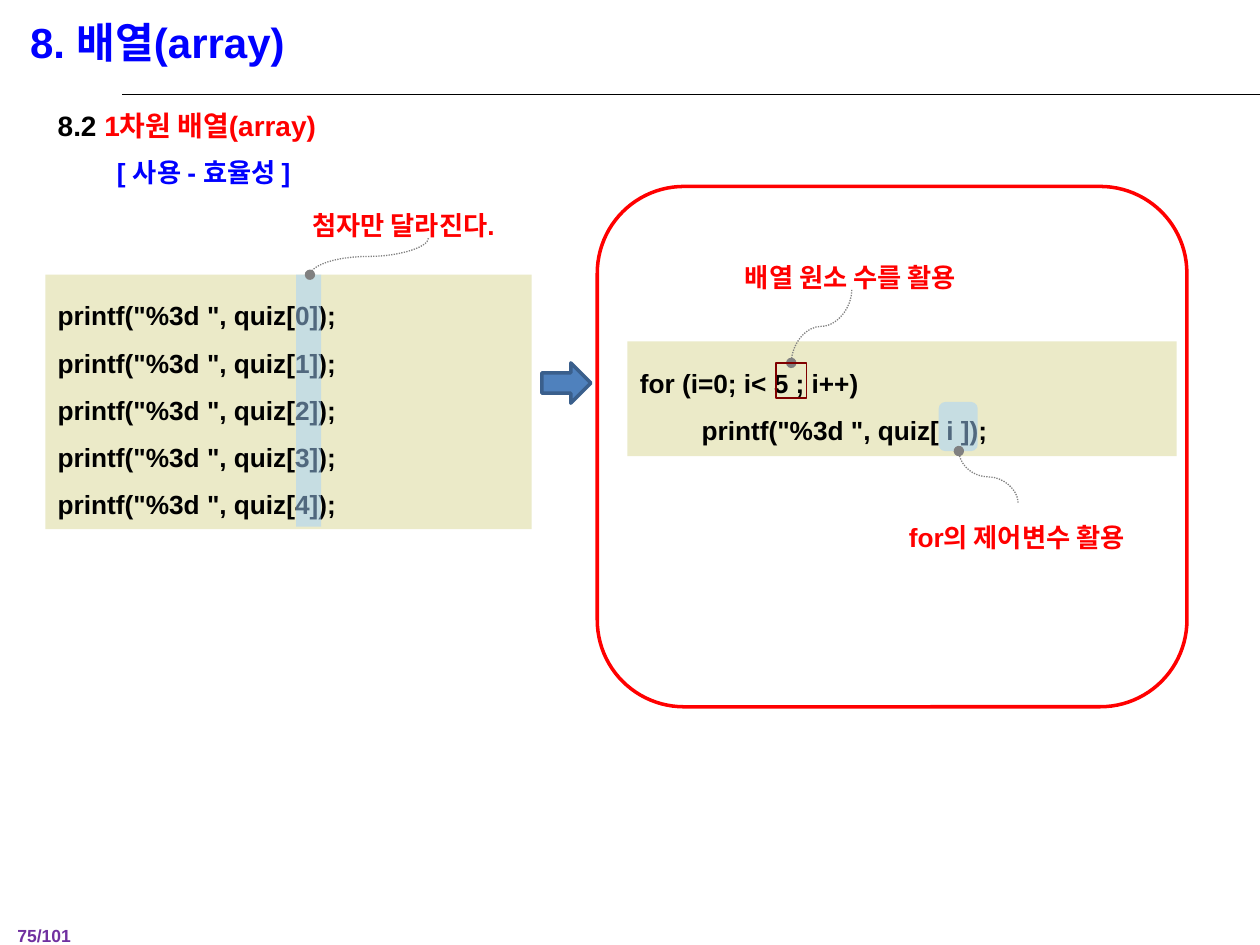
from lxml.etree import SubElement
from pptx import Presentation
from pptx.dml.color import RGBColor
from pptx.enum.dml import MSO_LINE
from pptx.enum.shapes import MSO_CONNECTOR as CONN, MSO_SHAPE as SHAPE
from pptx.enum.text import MSO_ANCHOR as ANCHOR, MSO_AUTO_SIZE as FIT, PP_ALIGN as ALIGN
from pptx.oxml.ns import qn
from pptx.util import Inches, Pt

COLORS = {
    "black": "000000", "blue": "0000FF", "red": "FF0000", "purple": "7030A0",
    "code": "EBEAC8", "highlight": "A2D1FC", "gray": "808080",
    "maroon": "800000", "arrow": "4F81BD", "arrow_edge": "3A5F8C",
}
BODY = 15


def rgb(name):
    return RGBColor.from_string(COLORS[name])


def inches(*values):
    return [Inches(v) for v in values]


def write(tf, lines, size, spacing=1.5, align=ALIGN.LEFT):
    """Each line is a list of (text, color) runs."""
    tf.word_wrap = True
    for i, runs in enumerate(lines):
        p = tf.paragraphs[0] if i == 0 else tf.add_paragraph()
        if any(text.startswith("\t") for text, _ in runs):
            tabs = SubElement(p._p.get_or_add_pPr(), qn("a:tabLst"))
            SubElement(tabs, qn("a:tab"), pos=str(Inches(0.49)), algn="l")
        p.alignment = align
        p.line_spacing = spacing
        for text, color in runs:
            r = p.add_run()
            r.text = text
            f = r.font
            f.name, f.size, f.bold = "Arial", Pt(size), True
            f.color.rgb = rgb(color)


def add_text(s, box, runs, size=BODY, spacing=1.5, align=ALIGN.LEFT, inset=None, grow=True):
    tf = s.shapes.add_textbox(*inches(*box)).text_frame
    if inset is not None:
        tf.margin_left = tf.margin_right = tf.margin_top = tf.margin_bottom = Inches(inset)
    write(tf, [runs], size, spacing, align)
    tf.auto_size = FIT.SHAPE_TO_FIT_TEXT if grow else FIT.NONE


def add_note(s, box, text, align=ALIGN.CENTER):
    add_text(s, box, [(text, "red")], align=align, inset=0.02)


def add_shape(s, kind, box, fill=None, line=None, width=0.75, alpha=None):
    sp = s.shapes.add_shape(kind, *inches(*box))
    sp.shadow.inherit = False
    if fill:
        sp.fill.solid()
        sp.fill.fore_color.rgb = rgb(fill)
    else:
        sp.fill.background()
    if alpha:
        color = sp._element.spPr.find(qn("a:solidFill"))[0]
        SubElement(color, qn("a:alpha"), val=str(alpha * 1000))
    if line:
        sp.line.color.rgb = rgb(line)
        sp.line.width = Pt(width)
    else:
        sp.line.fill.background()
    return sp


def add_code(s, box, lines):
    tf = add_shape(s, SHAPE.RECTANGLE, box, "code").text_frame
    tf.vertical_anchor = ANCHOR.MIDDLE
    write(tf, [[(line, "black")] for line in lines], BODY)


def add_line(s, kind, start, end, color):
    c = s.shapes.add_connector(kind, *inches(*start, *end))
    c.line.color.rgb = rgb(color)
    c.line.width = Pt(0.75)
    SubElement(c._element.spPr, qn("a:effectLst"))
    return c


def add_curve(s, start, end):
    """Dotted S-curve leaving vertically: a horizontal one turned a quarter."""
    (x1, y1), (x2, y2) = start, end
    cx, cy = (x1 + x2) / 2, (y1 + y2) / 2
    half_w, half_h = abs(y2 - y1) / 2, (x1 - x2) / 2
    upward = y2 < y1
    if upward:
        half_h = -half_h
    c = add_line(s, CONN.CURVE, (cx - half_w, cy - half_h), (cx + half_w, cy + half_h), "gray")
    c._element.spPr.find(qn("a:xfrm")).set("rot", str((270 if upward else 90) * 60000))
    c.line.dash_style = MSO_LINE.ROUND_DOT
    SubElement(c.line._get_or_add_ln(), qn("a:tailEnd"), type="oval")


def add_headings(s):
    add_text(s, (0.04, 7.21, 0.74, 0.27), [("75/101", "purple")], 10, grow=False)
    add_line(s, CONN.STRAIGHT, (0.97, 0.75), (10, 0.75), "black")
    add_text(s, (0.14, 0.08, 9.27, 0.51), [("8. 배열(array)", "blue")], 24, 1.0)
    add_text(s, (0.36, 0.68, 8.98, 0.45), [("8.2 ", "black"), ("1차원 배열(array)", "red")], 16)
    add_text(s, (0.83, 1.07, 8.98, 0.43), [("[ 사용 - 효율성 ]", "blue")])


def add_repeated_calls(s):
    add_code(s, (0.36, 2.18, 3.86, 2.02), [f'printf("%3d ", quiz[{i}]);' for i in range(5)])
    add_shape(s, SHAPE.RECTANGLE, (2.35, 2.18, 0.2, 2), "highlight", alpha=50)
    add_curve(s, (3.4, 1.89), (2.46, 2.18))
    add_note(s, (2.46, 1.52, 1.89, 0.37), "첨자만 달라진다.", ALIGN.LEFT)


def add_loop(s):
    add_code(s, (4.98, 2.71, 4.36, 0.91),
             ["for (i=0; i< 5 ; i++)", '\tprintf("%3d ", quiz[ i ]);'])
    add_curve(s, (6.76, 2.3), (6.28, 2.88))
    add_shape(s, SHAPE.RECTANGLE, (6.16, 2.88, 0.24, 0.28), line="maroon")
    add_note(s, (5.65, 1.93, 2.2, 0.37), "배열 원소 수를 활용")
    add_shape(s, SHAPE.ROUNDED_RECTANGLE, (7.45, 3.19, 0.31, 0.39), "highlight", alpha=50)
    add_curve(s, (8.08, 3.99), (7.61, 3.58))
    add_note(s, (6.98, 3.99, 2.18, 0.37), "for의 제어변수 활용")
    add_shape(s, SHAPE.ROUNDED_RECTANGLE, (4.74, 1.48, 4.68, 4.13), line="red", width=2)


def main():
    prs = Presentation()
    prs.slide_width, prs.slide_height = inches(10, 7.5)
    s = prs.slides.add_slide(prs.slide_layouts[6])
    add_headings(s)
    add_repeated_calls(s)
    add_loop(s)
    add_shape(s, SHAPE.RIGHT_ARROW, (4.3, 2.88, 0.39, 0.32), "arrow", "arrow_edge", 2)
    prs.save("out.pptx")


if __name__ == "__main__":
    main()
